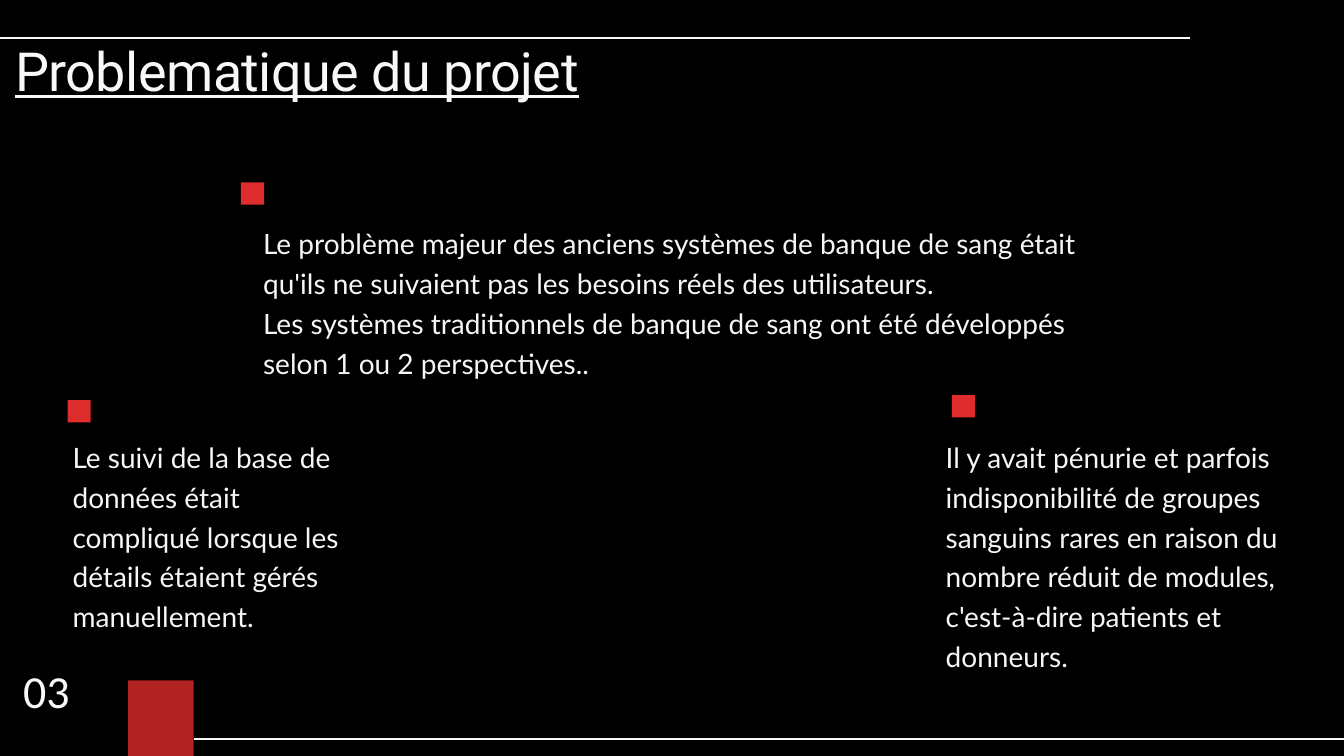
import pptx
import pptx.util
import pptx.dml.color
import pptx.enum.shapes
import pptx.enum.text
import pptx.oxml.ns
import lxml.etree

COLS, ROWS = 133.3, 75
RED, PALE, SOFT = "DF2C2C", "F8F8F8", "F8F5F5"
HEAD = {"name": "Roboto", "size": 38.5, "color": PALE, "lead": 48.5, "underline": True}
BODY = {"name": "Lato", "size": 20, "color": SOFT, "lead": 28.4}
PAGE = {"name": "Calibri", "size": 32.8, "color": PALE, "lead": 46.6}

deck = pptx.Presentation()
deck.slide_width = pptx.util.Inches(13.33)
deck.slide_height = pptx.util.Inches(7.5)
slide = deck.slides.add_slide(deck.slide_layouts[6])


def tint(code):
    return pptx.dml.color.RGBColor.from_string(code)


def span(*units):
    sides = (deck.slide_width / COLS, deck.slide_height / ROWS)
    return [round(unit * sides[i % 2]) for i, unit in enumerate(units)]


def child(node, tag, **attrs):
    return lxml.etree.SubElement(node, pptx.oxml.ns.qn(tag), **attrs)


def write(box, lines, look):
    frame = slide.shapes.add_textbox(*span(*box)).text_frame
    sets = {"word_wrap": True, "auto_size": pptx.enum.text.MSO_AUTO_SIZE.NONE,
            "margin_left": 0, "margin_right": 0, "margin_top": 0, "margin_bottom": 0}
    for key, value in sets.items():
        setattr(frame, key, value)
    frame.text = "\n".join(lines)
    for para in frame.paragraphs:
        para.line_spacing = pptx.util.Pt(look["lead"])
        font = para.runs[0].font
        font.color.rgb = tint(look["color"])
        font.size = pptx.util.Pt(look["size"])
        for key in ("name", "underline"):
            setattr(font, key, look.get(key))
    return frame


def block(box, alpha=None):
    shape = slide.shapes.add_shape(pptx.enum.shapes.MSO_SHAPE.RECTANGLE, *span(*box))
    shape.shadow.inherit = False
    shape.fill.solid()
    shape.fill.fore_color.rgb = tint(RED)
    shape.line.fill.background()
    if alpha:
        fill = shape.fill._xPr.find(".//" + pptx.oxml.ns.qn("a:srgbClr"))
        child(fill, "a:alpha", val=str(alpha * 1000))


def rule(left, right, top):
    line = slide.shapes.add_connector(
        pptx.enum.shapes.MSO_CONNECTOR.STRAIGHT, *span(left, top, right, top))
    line.line.color.rgb = tint(PALE)
    line.line.width = pptx.util.Pt(1.2)
    child(line._element.spPr, "a:effectLst")


def header(box, title):
    left, top, width, height = box
    rule(left, left + width, top)
    frame = write((left + 1.5, top - 0.35, 61.5, height), [title], HEAD)
    frame.paragraphs[0].runs[0].font._element.set("spc", "-40")


def point(box, mark, lines):
    left, top, width, height = box
    across, down = mark
    block((left + across, top + down, 2.3, 2.2))
    write(box, lines, BODY)


def footer(box, number):
    left, top, width, height = box
    base = top + height
    write((left + 2.3, top, 13.7, 6.6), [number], PAGE)
    rule(left + 19.2, left + width, base - 1.7)
    block((left + 12.7, base - 7.5, 6.5, 7.5), 80)


POINTS = [
    ((26.1, 21.9, 85.6, 15.7), (-2.2, -3.8), [
        "Le problème majeur des anciens systèmes de banque de sang était "
        "qu'ils ne suivaient pas les besoins réels des utilisateurs.",
        "Les systèmes traditionnels de banque de sang ont été développés "
        "selon 1 ou 2 perspectives.."]),
    ((7.2, 43.1, 28.3, 19.6), (-0.5, -3.4), [
        "Le suivi de la base de données était compliqué lorsque les "
        "détails étaient gérés manuellement."]),
    ((93.8, 43.1, 39.4, 23.6), (0.6, -3.9), [
        "Il y avait pénurie et parfois indisponibilité de groupes sanguins "
        "rares en raison du nombre réduit de modules, c'est-à-dire patients "
        "et donneurs."]),
]

slide.background.fill.solid()
slide.background.fill.fore_color.rgb = tint("000000")
header((0, 3.75, 118, 6.7), "Problematique du projet")
for box, mark, lines in POINTS:
    point(box, mark, lines)
footer((0, 64.7, COLS, 10.3), "03")
deck.save("out.pptx")
